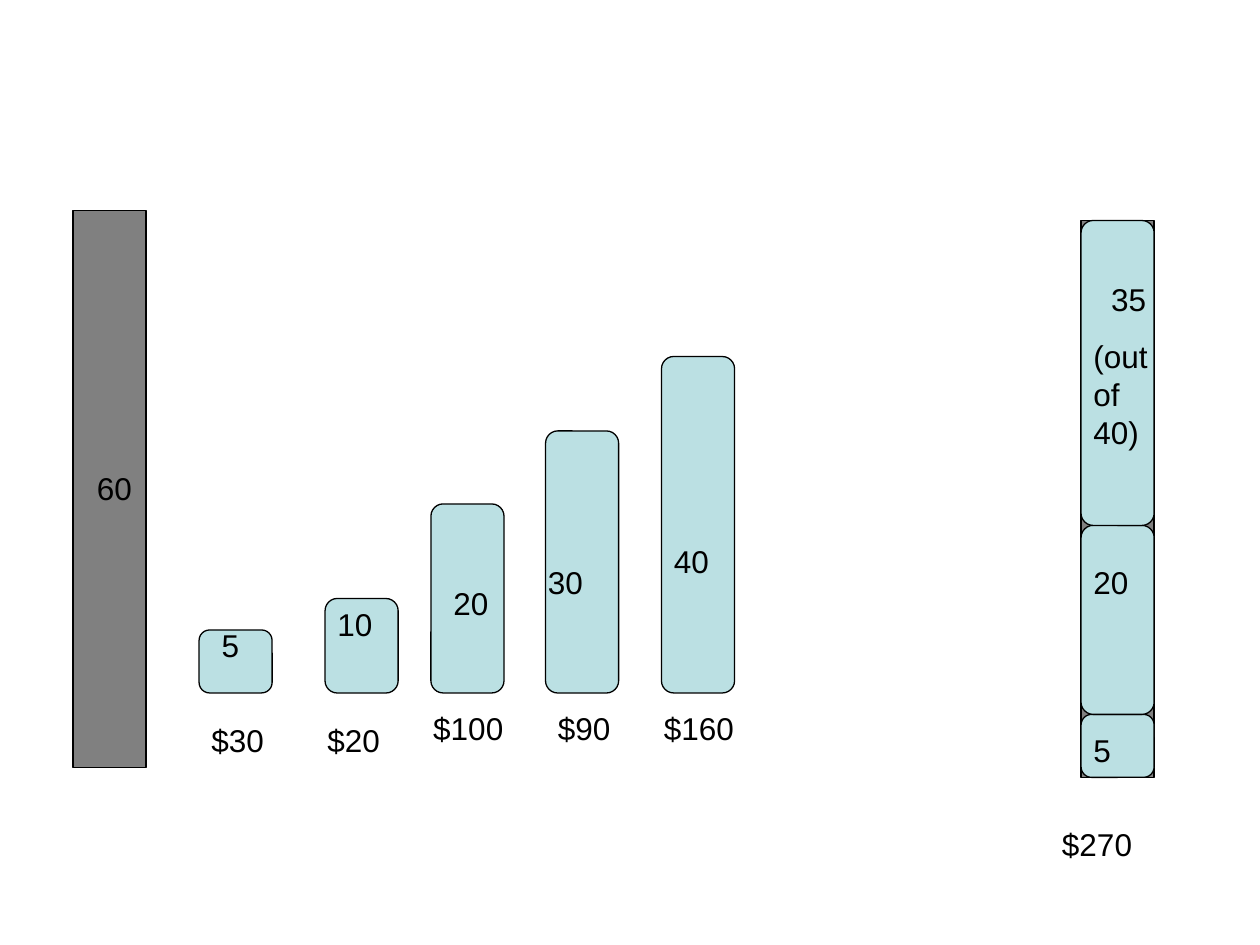
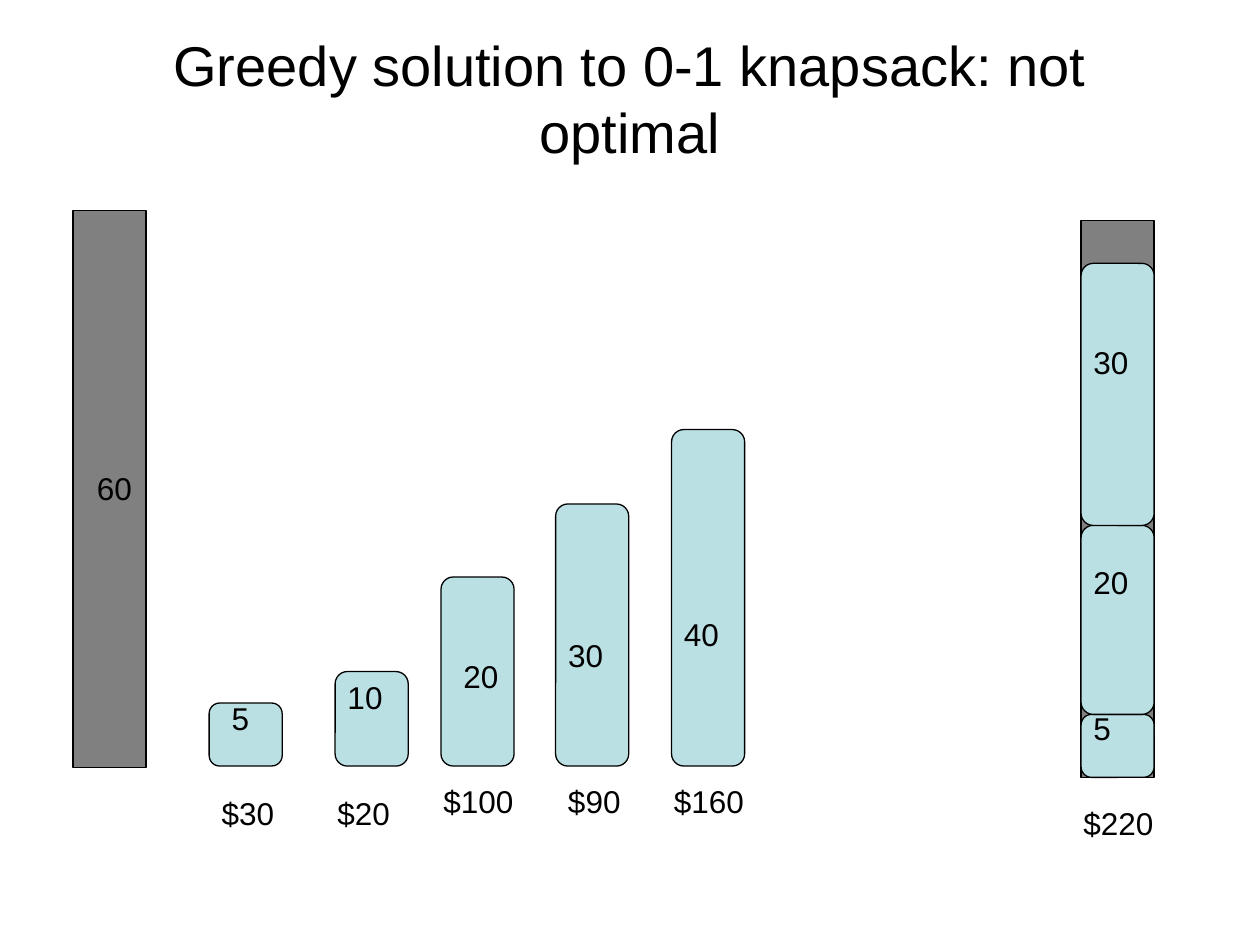
from dataclasses import dataclass
from pptx import Presentation, util as u
from pptx.dml.color import RGBColor
from pptx.enum import shapes, text


@dataclass(frozen=True)
class Theme:
    font: str = "Arial"
    ink: str = "000000"
    capacity: str = "808080"
    item: str = "BBE0E3"
    label_size: float = 18
    title_size: float = 32
    line_width: float = 0.74
    space_before: float = 11.2
    bar_width: float = 0.58
    corner: float = 0.167


class Deck:
    def __init__(self, theme):
        self.theme = theme
        self.prs = Presentation()
        self.prs.slide_width = u.Inches(10)
        self.prs.slide_height = u.Inches(7.5)

    def new_slide(self):
        self.slide = self.prs.slides.add_slide(self.prs.slide_layouts[6])

    def bar(self, left, top, height, kind, color):
        bar = self.slide.shapes.add_shape(
            kind, u.Inches(left), u.Inches(top),
            u.Inches(self.theme.bar_width), u.Inches(height))
        bar.shadow.inherit = False
        bar.fill.solid()
        bar.fill.fore_color.rgb = RGBColor.from_string(color)
        bar.line.color.rgb = RGBColor.from_string(self.theme.ink)
        bar.line.width = u.Pt(self.theme.line_width)
        return bar

    def capacity(self, left, top):
        self.bar(left, top, 4.42, shapes.MSO_SHAPE.RECTANGLE, self.theme.capacity)

    def item(self, left, base, height):
        item = self.bar(left, base - height, height,
                        shapes.MSO_SHAPE.ROUNDED_RECTANGLE, self.theme.item)
        item.adjustments[0] = self.theme.corner * min(1, 0.5 / min(height, 0.5))

    def frame(self, left, top, width, height):
        frame = self.slide.shapes.add_textbox(
            u.Inches(left), u.Inches(top), u.Inches(width), u.Inches(height)).text_frame
        frame.word_wrap = True
        return frame

    def run(self, paragraph, words, size):
        run = paragraph.add_run()
        run.text = words
        run.font.name = self.theme.font
        run.font.size = u.Pt(size)
        run.font.color.rgb = RGBColor.from_string(self.theme.ink)

    def title(self, words):
        frame = self.frame(0.5, 0.3, 9, 0.95)
        frame.vertical_anchor = text.MSO_ANCHOR.MIDDLE
        frame.paragraphs[0].alignment = text.PP_ALIGN.CENTER
        self.run(frame.paragraphs[0], words, self.theme.title_size)

    def label(self, left, top, width, *lines, height=0.4, indent=0):
        frame = self.frame(left, top, width, height)
        frame.auto_size = text.MSO_AUTO_SIZE.SHAPE_TO_FIT_TEXT
        for number, words in enumerate(lines):
            paragraph = frame.add_paragraph() if number else frame.paragraphs[0]
            paragraph.space_before = u.Pt(self.theme.space_before)
            if indent and number == 0:
                paragraph._p.get_or_add_pPr().set("indent", str(u.Inches(indent)))
            self.run(paragraph, words, self.theme.label_size)

    def knapsack(self):
        self.capacity(0.58, 1.67)
        self.label(0.67, 3.67, 0.75, "60")

    def choices(self, shift, base, weight_shifts):
        for rank, (item, weight_shift) in enumerate(zip(ITEMS, weight_shifts)):
            left, height, weight, weight_width, price, price_shift, drop, price_width = item
            self.item(left + shift, base, height)
            self.label(left + shift + weight_shift, base - 0.58 - rank / 6,
                       weight_width, weight)
            self.label(left + shift + price_shift, base + drop, price_width, price)

    def packed(self, heights):
        left, base = 8.58, 6.17
        self.capacity(left, base - 4.42)
        for height in heights:
            self.item(left, base, height)
            base -= height
        self.label(left, 4.42, 0.67, "20")


ITEMS = [
    (1.58, 0.5, "5", 0.58, "$30", 0, 0.17, 0.75),
    (2.58, 0.75, "10", 0.67, "$20", -0.08, 0.17, 0.92),
    (3.42, 1.5, "20", 0.67, "$100", -0.08, 0.08, 0.83),
    (4.33, 2.08, "30", 0.92, "$90", 0, 0.08, 0.83),
    (5.25, 2.67, "40", 0.75, "$160", -0.08, 0.08, 0.83),
]

deck = Deck(Theme())

deck.new_slide()
deck.knapsack()
deck.choices(0, 5.5, (0.08, 0, 0.08, -0.08, 0))
deck.packed((0.5, 1.5, 2.42))
deck.label(8.58, 2.17, 0.67, "35", "(out of 40)", height=1.46, indent=0.14)
deck.label(8.58, 5.75, 0.58, "5")
deck.label(8.33, 6.5, 1.08, "$270")

deck.new_slide()
deck.title("Greedy solution to 0-1 knapsack: not optimal")
deck.knapsack()
deck.choices(0.08, 6.08, (0.08, 0, 0.08, 0, 0))
deck.packed((0.5, 1.5, 2.08))
deck.label(8.58, 2.67, 0.92, "30")
deck.label(8.58, 5.58, 0.58, "5")
deck.label(8.5, 6.33, 1.17, "$220")

deck.prs.save("out.pptx")
